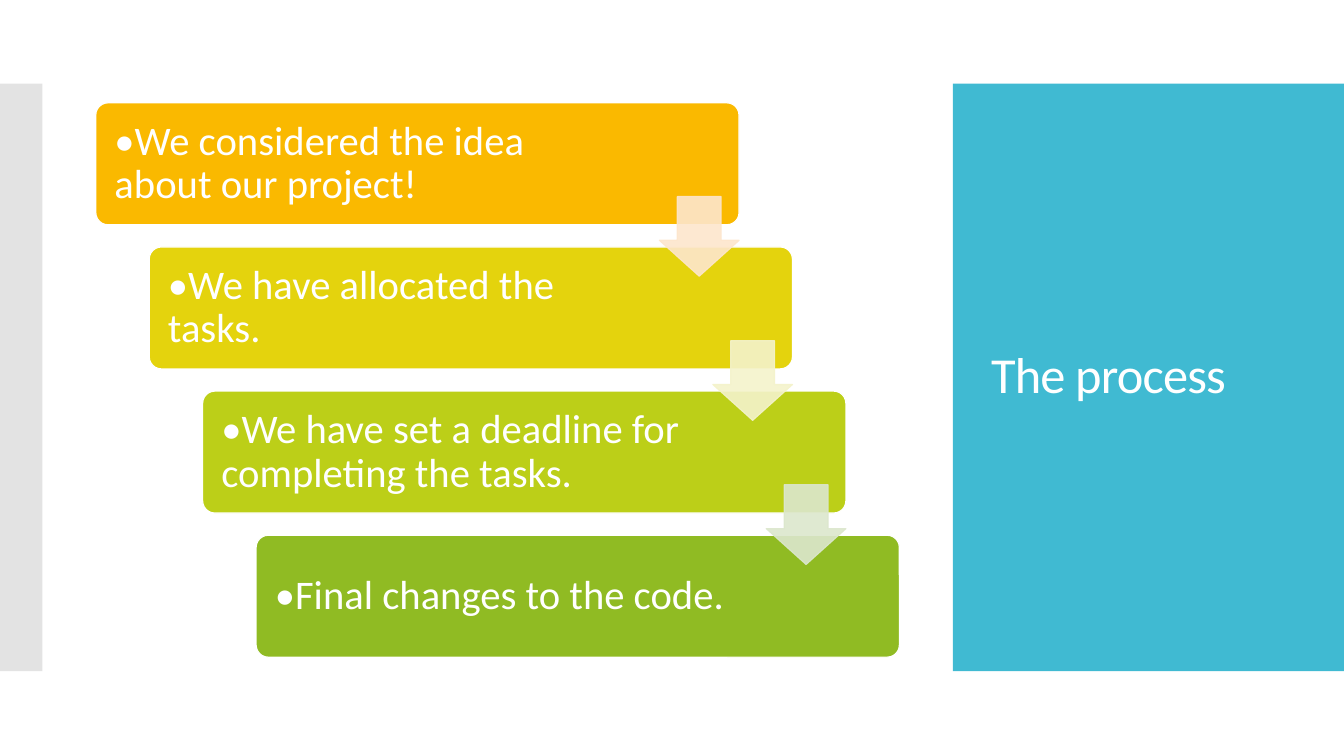
from lxml import etree
from pptx import Presentation
from pptx.dml.color import RGBColor
from pptx.enum import shapes, text
from pptx.oxml import ns
from pptx.util import Inches, Pt

COLORS = {"white": "FFFFFF", "panel": "40BAD2", "strip": "C8C8C8"}
FONT = "Calibri"
STEPS = [
    ("•We considered the idea about our project!", "FAB900", "FDE6CC"),
    ("•We have allocated the tasks.", "E4D30D", "F4F3CB"),
    ("•We have set a deadline for completing the tasks.", "BCCF18", "DCE7CD"),
    ("•Final changes to the code.", "90BB23", None),
]
STEP_X, STEP_Y = 0.53, 1.43


def add_block(kind, left, top, width, height, fill, line=None):
    block = page.shapes.add_shape(
        kind, Inches(left), Inches(top), Inches(width), Inches(height))
    block.shadow.inherit = False
    block.fill.solid()
    block.fill.fore_color.rgb = RGBColor.from_string(fill)
    if line:
        block.line.color.rgb = RGBColor.from_string(line)
        block.line.width = Pt(0.85)
    else:
        block.line.fill.background()
    return block


def set_opacity(block, percent):
    for color in block._element.spPr.iter(ns.qn("a:srgbClr")):
        alpha = etree.SubElement(color, ns.qn("a:alpha"))
        alpha.set("val", str(percent * 1000))


deck = Presentation()
deck.slide_width, deck.slide_height = Inches(13.33), Inches(7.5)
page = deck.slides.add_slide(deck.slide_layouts[5])

add_block(shapes.MSO_SHAPE.RECTANGLE, 9.45, 0.83, 3.88, 5.83, COLORS["panel"])
strip = add_block(shapes.MSO_SHAPE.RECTANGLE, 0, 0.83, 0.42, 5.83, COLORS["strip"])
set_opacity(strip, 50)

title = page.shapes.title
page.shapes._spTree.append(title._element)
title.left, title.top = Inches(9.73), Inches(1.23)
title.width, title.height = Inches(3.22), Inches(5.03)
frame = title.text_frame
frame.text = "The process"
frame.word_wrap = True
frame.auto_size = text.MSO_AUTO_SIZE.NONE
frame.vertical_anchor = text.MSO_ANCHOR.MIDDLE
para = frame.paragraphs[0]
para.alignment = text.PP_ALIGN.LEFT
para.line_spacing = 0.9
para.font.name = FONT
para.font.size = Pt(36)
para.font.color.rgb = RGBColor.from_string(COLORS["white"])
para.runs[0].font._element.set("spc", "-60")

for index, (wording, fill, _) in enumerate(STEPS):
    box = add_block(shapes.MSO_SHAPE.ROUNDED_RECTANGLE, 0.95 + index * STEP_X,
                    1.02 + index * STEP_Y, 6.38, 1.21, fill, COLORS["white"])
    box.adjustments[0] = 0.1
    frame = box.text_frame
    frame.text = wording
    frame.word_wrap = True
    frame.vertical_anchor = text.MSO_ANCHOR.MIDDLE
    frame.margin_left, frame.margin_right = Inches(0.15), Inches(1.49)
    frame.margin_top = frame.margin_bottom = Inches(0.12)
    para = frame.paragraphs[0]
    para.alignment = text.PP_ALIGN.LEFT
    para.line_spacing = 0.9
    para.font.name = FONT
    para.font.size = Pt(29)
    para.font.color.rgb = RGBColor.from_string(COLORS["white"])

for index, (_, _, tint) in enumerate(STEPS[:-1]):
    arrow = add_block(shapes.MSO_SHAPE.DOWN_ARROW, 6.54 + index * STEP_X,
                      1.95 + index * STEP_Y, 0.79, 0.79, tint, tint)
    arrow.adjustments[0] = 0.55
    arrow.adjustments[1] = 0.45
    set_opacity(arrow, 90)

deck.save("out.pptx")
